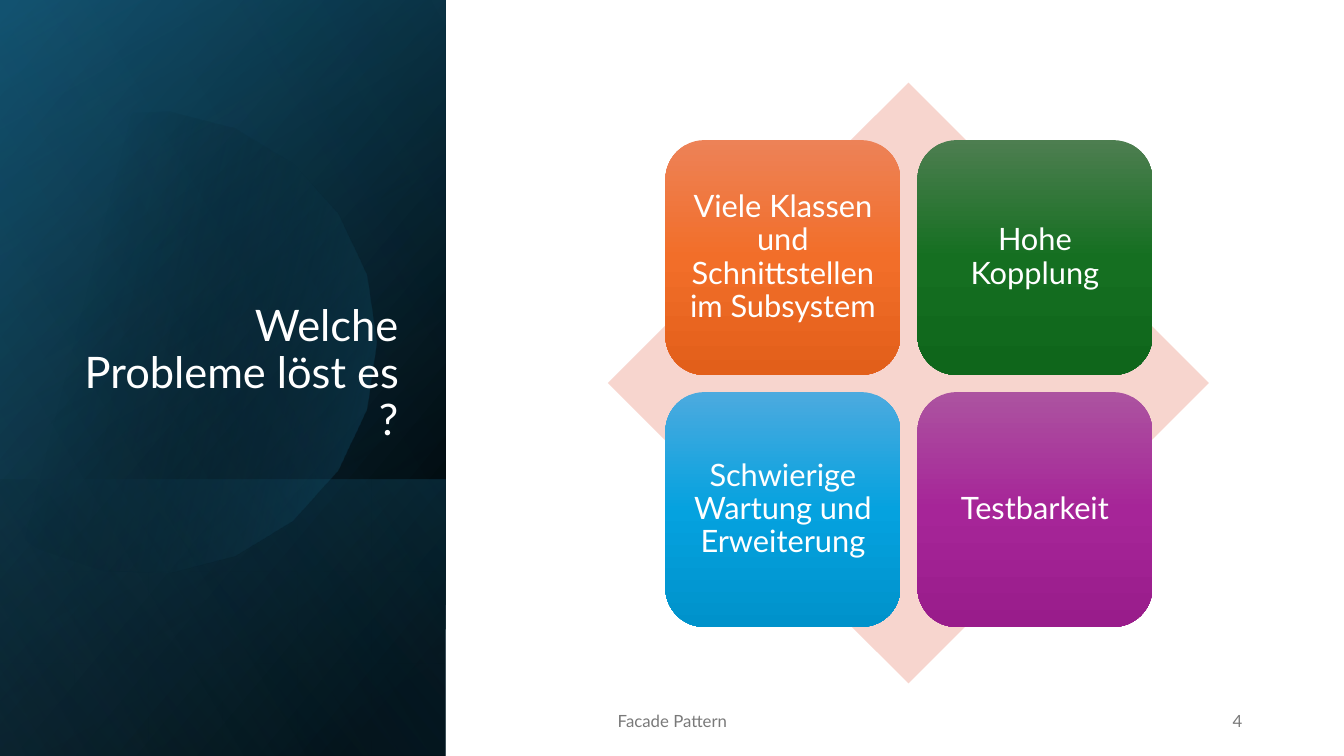
from math import cos, radians, sin

from pptx import Presentation
from pptx.dml.color import RGBColor
from pptx.enum.shapes import MSO_SHAPE as SHAPE
from pptx.enum.text import MSO_ANCHOR as ANCHOR, MSO_AUTO_SIZE as AUTO_SIZE, PP_ALIGN as ALIGN
from pptx.oxml.ns import qn
from pptx.util import Inches, Pt
from lxml.etree import SubElement


def write(shape, text, size, color, align, anchor):
    frame = shape.text_frame
    frame.text = text
    frame.word_wrap = True
    frame.auto_size = AUTO_SIZE.NONE
    frame.vertical_anchor = anchor
    paragraph = frame.paragraphs[0]
    paragraph.alignment = align
    paragraph.font.name = "Lato"
    paragraph.font.size = Pt(size)
    paragraph.font.color.rgb = RGBColor.from_string(color)
    return paragraph


def paint(shape, stops, angle):
    shape.shadow.inherit = False
    shape.line.fill.background()
    shape.fill.gradient()
    gradient = shape._element.spPr.find(qn("a:gradFill"))
    gradient.find(qn("a:lin")).set("ang", str(angle * 60000))
    stop_list = gradient.find(qn("a:gsLst"))
    for old_stop in list(stop_list):
        stop_list.remove(old_stop)
    for position, color, opacity in stops:
        stop = SubElement(stop_list, qn("a:gs"), pos=str(position * 1000))
        tint = SubElement(stop, qn("a:srgbClr"), val=color)
        if opacity < 100:
            SubElement(tint, qn("a:alpha"), val=str(opacity * 1000))


prs = Presentation()
prs.slide_width = Inches(13.33)
prs.slide_height = Inches(7.5)
slide = prs.slides.add_slide(prs.slide_layouts[5])
shapes = slide.shapes

full_panel = (-1.54, 1.54, 7.5, 4.42)
lower_panel = (0.84, 3.92, 2.74, 4.42)
panel_layers = [
    (full_panel, [(8, "000000", 100), (100, "104862", 100)], 50),
    (full_panel, [(0, "000000", 0), (99, "156082", 46)], 30),
    (lower_panel, [(2, "156082", 29), (100, "000000", 30)], 130),
    ("disc", [(29, "000000", 0), (100, "156082", 43)], 14),
    (full_panel, [(0, "000000", 0), (99, "46B1E1", 11)], 120),
]
disc_x, disc_y, disc_radius = 1.43, 3.39, 2.3
disc_angles = [radians(16.75 * step) for step in range(-8, 9)]
disc_outline = [
    (Inches(disc_x + disc_radius * cos(a)), Inches(disc_y + disc_radius * sin(a)))
    for a in disc_angles
]
for area, stops, angle in panel_layers:
    if area == "disc":
        builder = shapes.build_freeform(*disc_outline[0])
        builder.add_line_segments(disc_outline[1:], close=True)
        layer = builder.convert_to_shape()
    else:
        layer = shapes.add_shape(SHAPE.RECTANGLE, *map(Inches, area))
        layer.rotation = 90
        layer._element.spPr.find(qn("a:xfrm")).set("flipH", "1")
    paint(layer, stops, angle)

title = shapes.title
title.left, title.top, title.width, title.height = map(Inches, (0.64, 1.84, 3.41, 2.62))
question = "Welche " + chr(160).join(["Probleme", "löst", "es?"])
write(title, question, 31, "FFFFFF", ALIGN.RIGHT, ANCHOR.BOTTOM).line_spacing = 0.9
shapes._spTree.append(title._element)

diamond = shapes.add_shape(SHAPE.DIAMOND, Inches(6.03), Inches(0.82), Inches(5.96), Inches(5.96))
diamond.shadow.inherit = False
diamond.fill.solid()
diamond.fill.fore_color.rgb = RGBColor.from_string("F7D5CE")
diamond.line.fill.background()

problems = [
    ("Viele Klassen und Schnittstellen im Subsystem", ("ED8257", "F26E29", "E25F1A")),
    ("Hohe Kopplung", ("4D7E50", "156F21", "0F661B")),
    ("Schwierige Wartung und Erweiterung", ("4CAADF", "05A2DF", "0092CB")),
    ("Testbarkeit", ("AC53A0", "A62598", "991C8B")),
]
card_size, card_step = 2.33, 2.5
for index, (problem, colors) in enumerate(problems):
    row, column = divmod(index, 2)
    card = shapes.add_shape(
        SHAPE.ROUNDED_RECTANGLE,
        Inches(6.6 + column * card_step), Inches(1.39 + row * card_step),
        Inches(card_size), Inches(card_size),
    )
    paint(card, [(50 * i, color, 100) for i, color in enumerate(colors)], 90)
    write(card, problem, 22, "FFFFFF", ALIGN.CENTER, ANCHOR.MIDDLE).line_spacing = 0.9
    frame = card.text_frame
    frame.margin_left = frame.margin_right = frame.margin_top = frame.margin_bottom = Inches(0.09)

for text, left, width, align in [
    ("4", 9.42, 3, ALIGN.RIGHT),
    ("Facade Pattern", 4.42, 4.5, ALIGN.CENTER),
]:
    footer = shapes.add_textbox(Inches(left), Inches(6.95), Inches(width), Inches(0.4))
    write(footer, text, 12, "797979", align, ANCHOR.MIDDLE)

prs.save("out.pptx")
